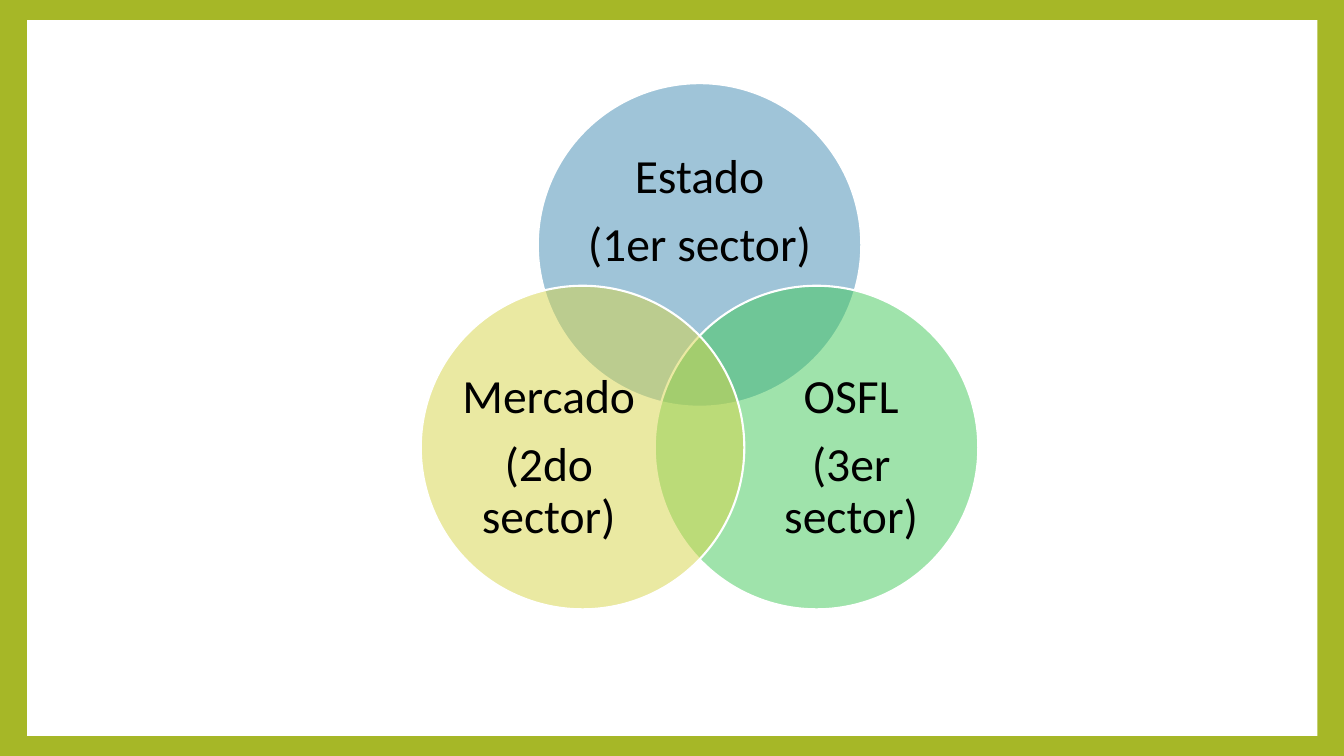
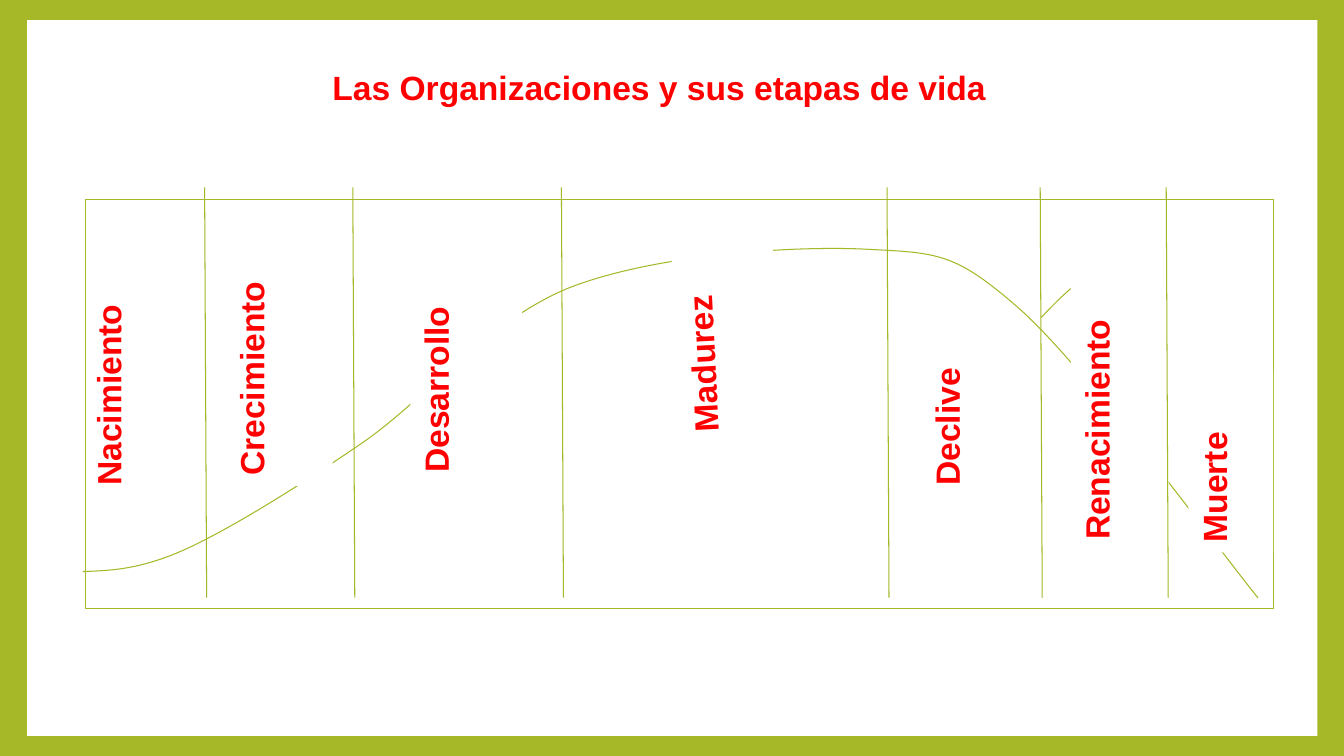
from math import cos, radians, sin

from lxml.etree import SubElement
from pptx import Presentation
from pptx.dml.color import RGBColor
from pptx.enum.shapes import MSO_CONNECTOR, MSO_SHAPE
from pptx.enum.text import MSO_ANCHOR, PP_ALIGN
from pptx.oxml.ns import qn
from pptx.util import Pt

PX = 9144
COLORS = {"green": "A6B727", "white": "FFFFFF", "black": "000000", "red": "FF0000",
          "blue": "418AB3", "mint": "41C858", "yellow": "D7D447"}
PANEL = (27, 20, 1280, 710)

VENN_CENTER, VENN_RADIUS, DIAMETER = (694, 377), 134, 321
SECTORS = [
    (["Estado", "(1er sector)"], "blue", -90, (576, 138, 236, 145)),
    (["OSFL", "(3er sector)"], "mint", 30, (748, 366, 193, 177)),
    (["Mercado", "(2do sector)"], "yellow", 150, (448, 366, 193, 177)),
]

TITLE = "Las Organizaciones y sus etapas de vida"
TITLE_BOX = (42, 41, 1224, 64)
CHART_FRAME = (85, 198, 1178, 406)
STAGES = [
    ("Nacimiento", (82, 219, 108, 273), None, 0),
    ("Crecimiento", (224, 219, 106, 263), "white", 0),
    ("Desarrollo", (407, 254, 111, 225), "white", 0),
    ("Madurez", (612, 278, 217, 101), "white", 267.1),
    ("Declive", (914, 315, 104, 177), "white", 0),
    ("Renacimiento", (959, 345, 304, 97), "white", 270),
    ("Muerte", (1179, 367, 84, 181), "white", 0),
]
VERTICAL_MARGINS = (5, 10)
DIVIDERS = [203, 350, 557, 880, 1032, 1157]
DIVIDER_TOP, DIVIDER_BOTTOM, DIVIDER_SLANT = 186, 593, 2
LIFE_CURVE = [
    (82, 567), (111, 566), (140, 565), (186, 544), (231, 523), (294, 484), (357, 441),
    (421, 398), (483, 318), (566, 285), (649, 253), (781, 244), (855, 247),
    (930, 251), (946, 249), (1011, 306), (1077, 364), (1209, 545), (1248, 593),
]
REBIRTH_CURVE = [(1033, 315), (1050, 297), (1067, 280), (1088, 268),
                 (1109, 257), (1147, 248), (1159, 244)]


def rgb(name):
    return RGBColor.from_string(COLORS[name])


def emu(values):
    return [round(v * PX) for v in values]


def paint(s, fill=None, line=None, width=0.75):
    s.shadow.inherit = False
    if fill:
        s.fill.solid()
        s.fill.fore_color.rgb = rgb(fill)
    else:
        s.fill.background()
    if line:
        s.line.color.rgb = rgb(line)
        s.line.width = Pt(width)
    else:
        s.line.fill.background()


def add_box(slide, shape, box, **style):
    s = slide.shapes.add_shape(shape, *emu(box))
    paint(s, **style)
    return s


def add_text(slide, lines, box, font, size, color, bold=False, align=PP_ALIGN.LEFT,
             spacing=1.0, after=0):
    s = slide.shapes.add_textbox(*emu(box))
    tf = s.text_frame
    tf.word_wrap = True
    tf.text = "\n".join(lines)
    for p in tf.paragraphs:
        p.alignment, p.line_spacing, p.space_after = align, spacing, Pt(after)
        for r in p.runs:
            r.font.name, r.font.size, r.font.bold = font, Pt(size), bold
            r.font.color.rgb = rgb(color)
    return s


def set_margins(tf, horizontal, vertical):
    tf.margin_left = tf.margin_right = horizontal * PX
    tf.margin_top = tf.margin_bottom = vertical * PX


def add_curve(slide, points):
    start, *rest = [emu(point) for point in points]
    builder = slide.shapes.build_freeform(*start, scale=1.0)
    builder.add_line_segments(rest, close=False)
    s = builder.convert_to_shape()
    paint(s, line="green")
    outline = s._element.spPr.find(".//" + qn("a:path"))
    for i, segment in enumerate(outline.findall(qn("a:lnTo"))):
        if i % 3 == 0:
            curve = SubElement(outline, qn("a:cubicBezTo"))
        curve.append(segment[0])
        outline.remove(segment)


def add_divider(slide, x):
    ends = emu((x, DIVIDER_TOP, x + DIVIDER_SLANT, DIVIDER_BOTTOM))
    s = slide.shapes.add_connector(MSO_CONNECTOR.STRAIGHT, *ends)
    s.line.color.rgb = rgb("green")
    s.line.width = Pt(0.75)
    SubElement(s._element.spPr, qn("a:effectLst"))


def new_slide(prs):
    return prs.slides.add_slide(prs.slide_layouts[6])


def style_master(prs, slide):
    master = prs.slide_master
    master.background.fill.solid()
    master.background.fill.fore_color.rgb = rgb("green")
    panel = add_box(slide, MSO_SHAPE.RECTANGLE, PANEL, fill="white")
    panel._element.nvSpPr.cNvPr.set("id", "20")
    master.shapes.element.insert(2, panel._element)


def sectors_slide(slide):
    for lines, color, angle, label_box in SECTORS:
        x = VENN_CENTER[0] + VENN_RADIUS * cos(radians(angle)) - DIAMETER / 2
        y = VENN_CENTER[1] + VENN_RADIUS * sin(radians(angle)) - DIAMETER / 2
        s = add_box(slide, MSO_SHAPE.OVAL, (x, y, DIAMETER, DIAMETER),
                    fill=color, line="white", width=1.5)
        fill = s._element.spPr.find(qn("a:solidFill"))
        SubElement(fill[0], qn("a:alpha"), val="50000")
        tf = add_text(slide, lines, label_box, "Calibri", 34, "black",
                      align=PP_ALIGN.CENTER, spacing=0.9, after=12).text_frame
        tf.vertical_anchor = MSO_ANCHOR.MIDDLE
        set_margins(tf, 0, 0)


def stages_slide(slide):
    add_text(slide, [TITLE], TITLE_BOX, "Arial", 24, "red", bold=True,
             align=PP_ALIGN.CENTER, spacing=1.5)
    add_box(slide, MSO_SHAPE.RECTANGLE, CHART_FRAME, fill="white", line="green")
    for curve in (LIFE_CURVE, REBIRTH_CURVE):
        add_curve(slide, curve)
    for name, box, fill, rotation in STAGES:
        s = add_text(slide, [name], box, "Arial", 24, "red", bold=True, after=10)
        paint(s, fill=fill)
        if rotation:
            s.rotation = rotation
        else:
            s._element.txBody.bodyPr.set("vert", "vert270")
            set_margins(s.text_frame, *VERTICAL_MARGINS)
    for x in DIVIDERS:
        add_divider(slide, x)


def main():
    """Build the slides on sectors and on the life stages of organisations."""
    prs = Presentation()
    prs.slide_width, prs.slide_height = 12192000, 6858000
    sectors, stages = new_slide(prs), new_slide(prs)
    style_master(prs, sectors)
    sectors_slide(sectors)
    stages_slide(stages)
    prs.save("out.pptx")


if __name__ == "__main__":
    main()
